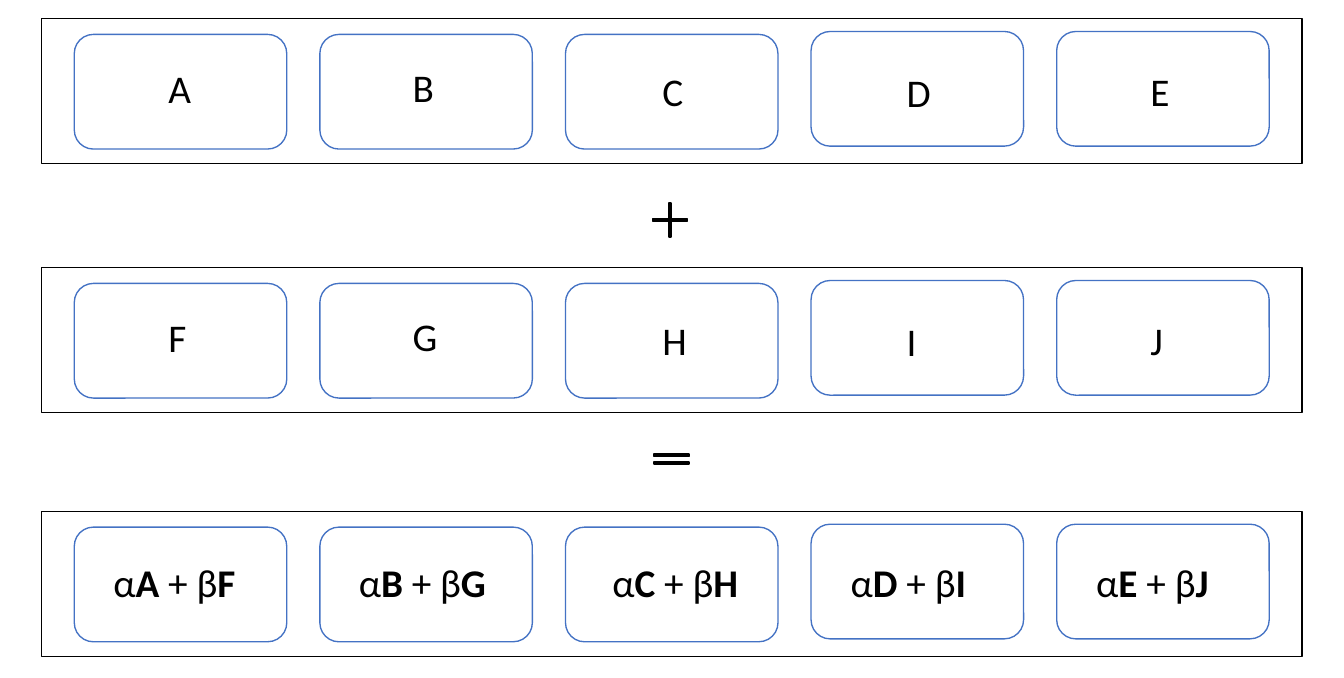
from pptx import Presentation
from pptx.dml.color import RGBColor
from pptx.enum.shapes import MSO_SHAPE as Preset
from pptx.enum.text import MSO_AUTO_SIZE as AutoSize
from pptx.util import Pt

BLACK = RGBColor(0x00, 0x00, 0x00)
BLUE = RGBColor(0x44, 0x72, 0xC4)

ROW_TOPS = (10.2, 146.1, 279.1)
OPERAND_ROWS = ("ABCDE", "FGHIJ")
CELL_LEFT, CELL_PITCH = 40.5, 133.95
CELL_OFFSETS = (8.6, 8.6, 8.6, 7, 7)
LETTER_PLACES = ((84.8, 21.2), (218, 20.7), (354.2, 23), (487.4, 23.5), (620.4, 23))
SUM_LEFTS = (54.7, 188.6, 326.9, 456.9, 590.8)
SUM_OFFSET = 21.9


class VectorSum:
    """Draws the rows, letters and signs of a weighted vector sum."""

    font_format = {"name": "Calibri", "size": Pt(21.4)}

    def __init__(self, slide):
        self.slide = slide

    def shape(self, preset, box, color, line_width=0.75, filled=False, adjustments=()):
        shape = self.slide.shapes.add_shape(preset, *map(Pt, box))
        shape.shadow.inherit = False
        for index, value in enumerate(adjustments):
            shape.adjustments[index] = value
        if filled:
            shape.fill.solid()
            shape.fill.fore_color.rgb = color
        else:
            shape.fill.background()
        shape.line.color.rgb = color
        shape.line.width = Pt(line_width)

    def row(self, top):
        self.shape(Preset.RECTANGLE, (22.5, top, 687.6, 79.2), BLACK)
        for column, offset in enumerate(CELL_OFFSETS):
            left = CELL_LEFT + column * CELL_PITCH
            self.shape(Preset.ROUNDED_RECTANGLE, (left, top + offset, 115.9, 62.6), BLUE)

    def sign(self, preset, left, top, adjustments):
        self.shape(preset, (left, top, 25.9, 25.2), BLACK, 1, True, adjustments)

    def text(self, left, top, width, runs):
        frame = self.slide.shapes.add_textbox(*map(Pt, (left, top, width, 33.1))).text_frame
        frame.word_wrap = True
        frame.auto_size = AutoSize.SHAPE_TO_FIT_TEXT
        for content, bold in runs:
            run = frame.paragraphs[0].add_run()
            run.text = content
            for name, value in {**self.font_format, "bold": bold}.items():
                setattr(run.font, name, value)
            run.font.color.rgb = BLACK


def main():
    presentation = Presentation()
    presentation.slide_width = Pt(733)
    presentation.slide_height = Pt(370)
    slide = presentation.slides.add_slide(presentation.slide_layouts[6])
    drawing = VectorSum(slide)

    for top in ROW_TOPS:
        drawing.row(top)
    for top, letters in zip(ROW_TOPS, OPERAND_ROWS):
        for letter, (left, offset) in zip(letters, LETTER_PLACES):
            drawing.text(left, top + offset, 32, [(letter, False)])
    for left, first, second in zip(SUM_LEFTS, *OPERAND_ROWS):
        runs = [("α", False), (first, True), (" + β", False), (second, True)]
        drawing.text(left, ROW_TOPS[-1] + SUM_OFFSET, 87.1, runs)

    drawing.sign(Preset.MATH_PLUS, 352.5, 107.5, [0.049])
    drawing.sign(Preset.MATH_EQUAL, 353.2, 238, [0.045, 0.118])
    presentation.save("out.pptx")


if __name__ == "__main__":
    main()
